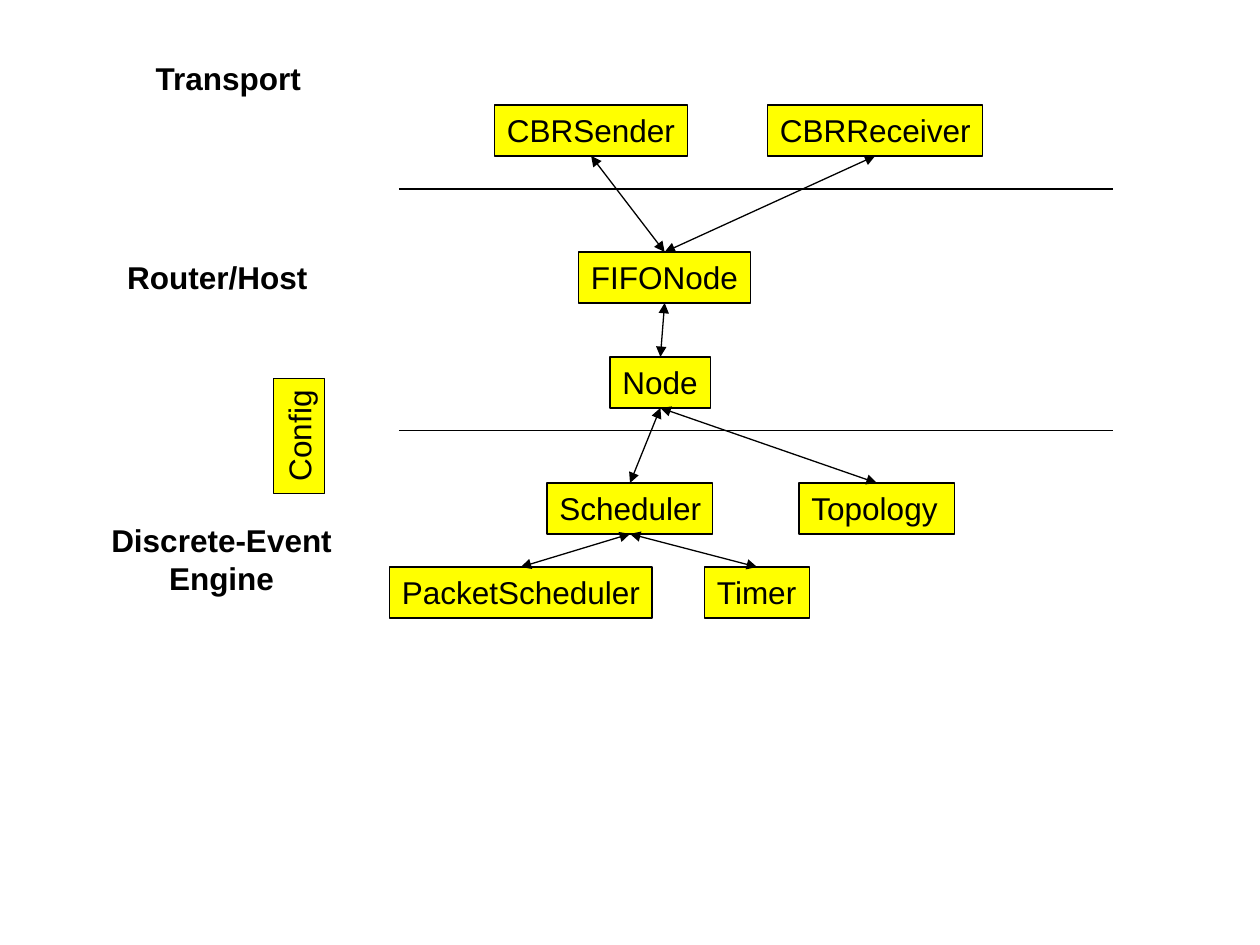
import dataclasses

import pptx
import pptx.dml.color
import pptx.enum.shapes
import pptx.enum.text
import pptx.oxml.ns
import pptx.oxml.xmlchemy
import pptx.util

CELL = pptx.util.Inches(1) / 12  # the slide is 120 columns by 90 rows
TALL = 4.85  # rows in a one-line box
TOP, LOW = 0, 2  # connection sites
ALIGN = pptx.enum.text.PP_ALIGN


@dataclasses.dataclass(frozen=True)
class Theme:
    ink: str = "000000"
    fill: str = "FFFF00"
    font: str = "Arial"
    size: float = 18
    line: float = 0.75


THEME = Theme()

# name: left column, top row, columns wide, turn
BOXES = {
    "CBRSender": (47.1, 10, 18.4, 0),
    "CBRReceiver": (73.1, 10, 20.5, 0),
    "FIFONode": (55.1, 24, 16.4, 0),
    "Node": (58.1, 34, 9.6, 0),
    "Scheduler": (52.1, 46, 15.8, 0),
    "Topology": (76.1, 46, 14.8, 0),
    "PacketScheduler": (37.1, 54, 25, 0),
    "Timer": (67.1, 54, 10, 0),
    "Config": (23, 39.1, 11, 270),
}

# upper box, lower box
LINKS = [
    ("CBRSender", "FIFONode"),
    ("CBRReceiver", "FIFONode"),
    ("FIFONode", "Node"),
    ("Node", "Scheduler"),
    ("Node", "Topology"),
    ("Scheduler", "PacketScheduler"),
    ("Scheduler", "Timer"),
]

# text, left column, top row, columns wide
LABELS = [
    ("Transport", 13.6, 5, 16.3),
    ("Router/Host", 10.9, 24, 19.6),
    ("Discrete-Event\nEngine", 9.4, 49, 23.4),
]

RULES = [18, 41]  # rows of the lines between layers


def grid(*cells):
    return [round(cell * CELL) for cell in cells]


def color(code):
    return pptx.dml.color.RGBColor.from_string(code)


def apply(target, values):
    for name, value in values.items():
        setattr(target, name, value)


def write(shape, text, align, bold=False):
    frame = shape.text_frame
    apply(frame, {
        "text": text,
        "word_wrap": False,
        "auto_size": pptx.enum.text.MSO_AUTO_SIZE.NONE,
        "vertical_anchor": pptx.enum.text.MSO_ANCHOR.TOP,
    })
    for para in frame.paragraphs:
        para.alignment = align
        apply(para.font, {
            "name": THEME.font,
            "size": pptx.util.Pt(THEME.size),
            "bold": bold,
        })
        para.font.color.rgb = color(THEME.ink)


def stroke(line):
    line.color.rgb = color(THEME.ink)
    line.width = pptx.util.Pt(THEME.line)


def add_box(slide, name, left, top, wide, turn):
    kind = pptx.enum.shapes.MSO_SHAPE.RECTANGLE
    box = slide.shapes.add_shape(kind, *grid(left, top, wide, TALL))
    box.rotation = turn
    box.shadow.inherit = False
    box.fill.solid()
    box.fill.fore_color.rgb = color(THEME.fill)
    stroke(box.line)
    write(box, name, ALIGN.LEFT)
    return box


def add_label(slide, text, left, top, wide):
    tall = TALL + 3.6 * text.count("\n")
    label = slide.shapes.add_textbox(*grid(left, top, wide, tall))
    write(label, text, ALIGN.CENTER, bold=True)


def add_line(slide, *ends):
    kind = pptx.enum.shapes.MSO_CONNECTOR.STRAIGHT
    line = slide.shapes.add_connector(kind, *grid(*ends))
    stroke(line.line)
    add_tag(line._element.spPr, "a:effectLst")
    return line


def add_tag(parent, name):
    tag = pptx.oxml.xmlchemy.OxmlElement(name)
    parent.append(tag)
    return tag


def add_link(slide, upper, lower):
    """Join two boxes with an arrow that points both ways."""
    link = add_line(slide, 0, 0, 0, 0)
    link.begin_connect(upper, LOW)
    link.end_connect(lower, TOP)
    stem = link._element.spPr.find(pptx.oxml.ns.qn("a:ln"))
    for tip in ("a:headEnd", "a:tailEnd"):
        add_tag(stem, tip).set("type", "triangle")


def main():
    deck = pptx.Presentation()
    deck.slide_width, deck.slide_height = grid(120, 90)
    slide = deck.slides.add_slide(deck.slide_layouts[6])
    for row in RULES:
        add_line(slide, 38, row, 106, row)
    boxes = {name: add_box(slide, name, *place)
             for name, place in BOXES.items()}
    for upper, lower in LINKS:
        add_link(slide, boxes[upper], boxes[lower])
    for label in LABELS:
        add_label(slide, *label)
    deck.save("out.pptx")


if __name__ == "__main__":
    main()
